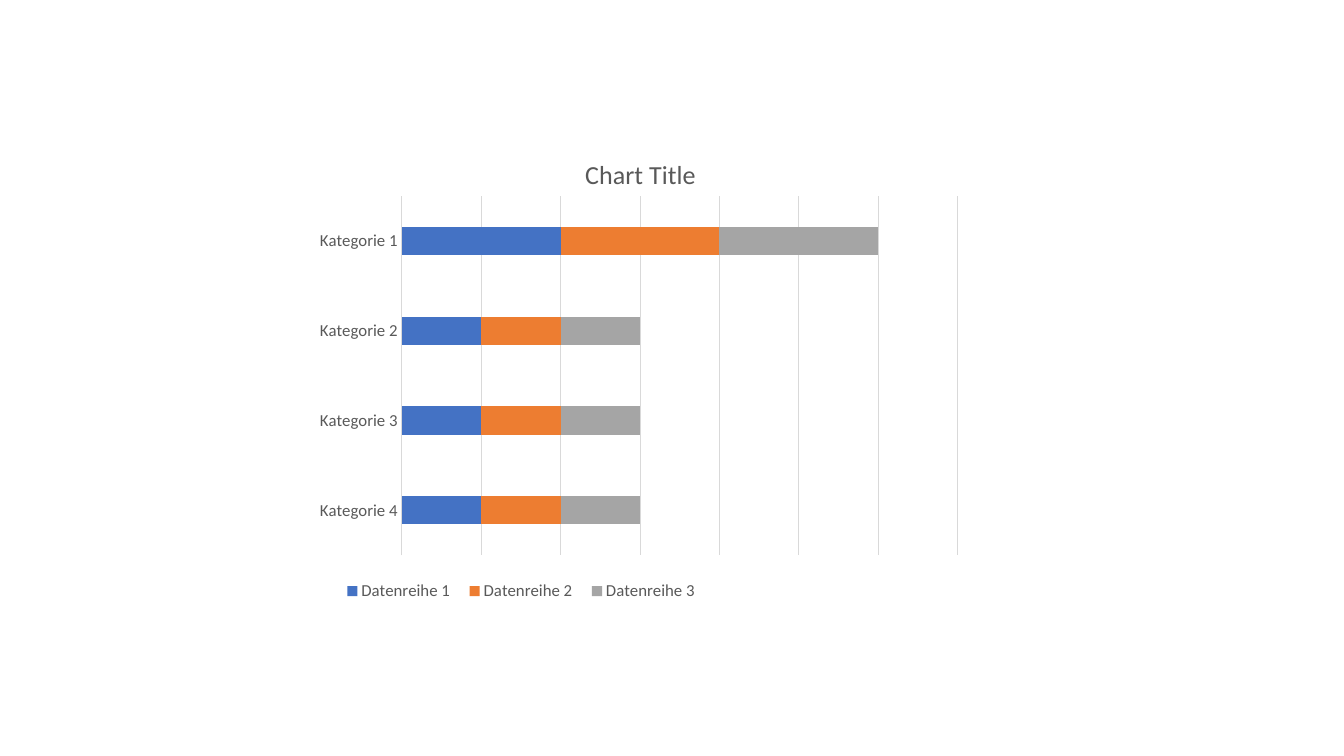
from dataclasses import dataclass

from lxml import etree
from pptx import Presentation
from pptx.chart.chart import Chart
from pptx.chart.data import CategoryChartData
from pptx.dml.color import RGBColor
from pptx.enum.chart import XL_CHART_TYPE, XL_LEGEND_POSITION, XL_TICK_MARK
from pptx.oxml.ns import qn
from pptx.util import Pt

BAR_STACKED = XL_CHART_TYPE.BAR_STACKED
LEGEND_BOTTOM = XL_LEGEND_POSITION.BOTTOM
NO_TICKS = XL_TICK_MARK.NONE


@dataclass(frozen=True)
class Theme:
    font: str = "Calibri"
    text: RGBColor = RGBColor(0x59, 0x59, 0x59)
    line: RGBColor = RGBColor(0xD9, 0xD9, 0xD9)
    title_size: float = 18.6
    label_size: float = 12
    line_width: float = 0.75


@dataclass(frozen=True)
class Series:
    name: str
    values: tuple[int, ...]
    color: RGBColor


@dataclass(frozen=True)
class Layout:
    """Fractions of the chart area."""
    x: float
    y: float
    w: float
    h: float


THEME = Theme()
CATEGORIES = [f"Kategorie {number}" for number in range(1, 5)]
VALUES = (100, 50, 50, 50)
COLORS = ("4472C4", "ED7D31", "A5A5A5")
SERIES = [
    Series(f"Datenreihe {number}", VALUES, RGBColor.from_string(color))
    for number, color in enumerate(COLORS, start=1)
]
PLOT_LAYOUT = Layout(0.15, 0.114, 0.815, 0.683)
LEGEND_LAYOUT = Layout(0.05, 0.83, 0.55, 0.07)


def style_font(font, size: float) -> None:
    font.name = THEME.font
    font.size = Pt(size)
    font.bold = False
    font.color.rgb = THEME.text


def style_line(line) -> None:
    line.color.rgb = THEME.line
    line.width = Pt(THEME.line_width)


def place(parent, layout: Layout, predecessor: str, inner: bool = False) -> None:
    """Give a chart part a fixed place, after the named child if present."""
    for automatic in parent.findall(qn("c:layout")):
        parent.remove(automatic)
    layout_element = etree.Element(qn("c:layout"))
    manual = etree.SubElement(layout_element, qn("c:manualLayout"))
    settings = {"layoutTarget": "inner"} if inner else {}
    settings |= {"xMode": "edge", "yMode": "edge"}
    settings |= {side: str(getattr(layout, side)) for side in "xywh"}
    for tag, value in settings.items():
        etree.SubElement(manual, qn(f"c:{tag}")).set("val", value)
    before = parent.find(qn(predecessor))
    position = 0 if before is None else parent.index(before) + 1
    parent.insert(position, layout_element)


def style_axes(chart: Chart) -> None:
    category_axis = chart.category_axis
    category_axis.reverse_order = True
    category_axis.major_tick_mark = NO_TICKS
    category_axis.minor_tick_mark = NO_TICKS
    style_font(category_axis.tick_labels.font, THEME.label_size)
    style_line(category_axis.format.line)

    value_axis = chart.value_axis
    value_axis.minimum_scale = 0
    value_axis.maximum_scale = 350
    value_axis.major_unit = 50
    value_axis.has_major_gridlines = True
    style_line(value_axis.major_gridlines.format.line)
    value_axis.visible = False


def style_bars(chart: Chart) -> None:
    plot = chart.plots[0]
    plot.gap_width = 219
    plot.overlap = 100
    plot.vary_by_categories = False
    for bars, series in zip(plot.series, SERIES):
        bars.format.fill.solid()
        bars.format.fill.fore_color.rgb = series.color


def add_title(chart: Chart) -> None:
    chart.has_title = True
    chart.chart_title.include_in_layout = False
    paragraph = chart.chart_title.text_frame.paragraphs[0]
    paragraph.text = "Chart Title"
    style_font(paragraph.font, THEME.title_size)


def add_legend(chart: Chart) -> None:
    chart.has_legend = True
    legend = chart.legend
    legend.position = LEGEND_BOTTOM
    legend.include_in_layout = False
    style_font(legend.font, THEME.label_size)
    place(legend._element, LEGEND_LAYOUT, "c:legendPos")


# Slide
presentation = Presentation()
presentation.slide_width = Pt(960)
presentation.slide_height = Pt(540)
slide = presentation.slides.add_slide(presentation.slide_layouts[6])

# Stacked bar chart
chart_data = CategoryChartData()
chart_data.categories = CATEGORIES
for series in SERIES:
    chart_data.add_series(series.name, series.values)
chart = slide.shapes.add_chart(
    BAR_STACKED, Pt(213.84), Pt(97.2), Pt(487.44), Pt(375.84), chart_data
).chart
style_font(chart.font, THEME.label_size)
style_axes(chart)
style_bars(chart)
add_title(chart)
add_legend(chart)
plot_area = chart._chartSpace.find(f".//{qn('c:plotArea')}")
place(plot_area, PLOT_LAYOUT, "c:layout", inner=True)

presentation.save("out.pptx")
